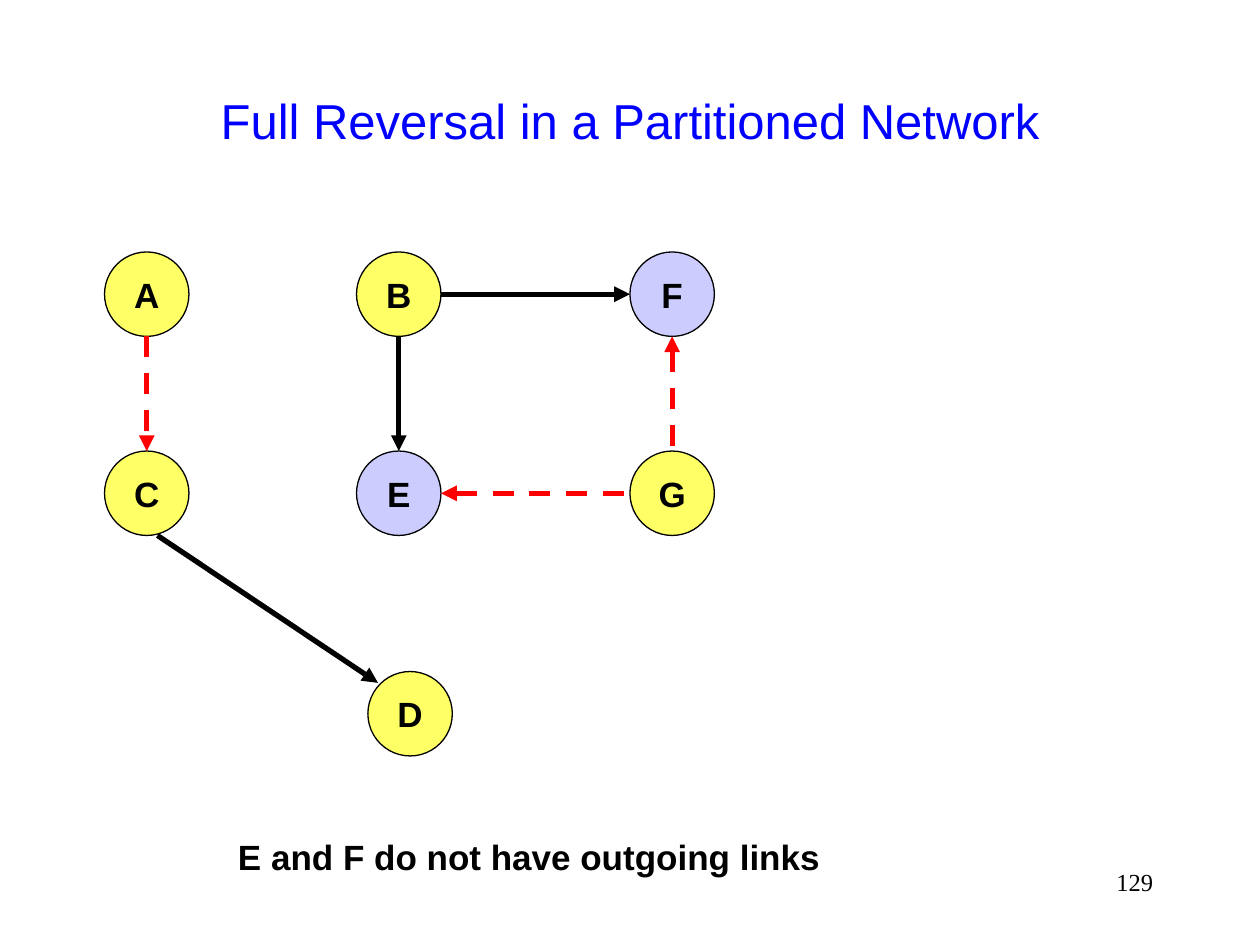
import lxml.etree
import pptx
import pptx.dml.color
import pptx.enum.dml
import pptx.enum.shapes
import pptx.enum.text
import pptx.oxml.ns
import pptx.util

COLORS = {
    "title": "0000FF",
    "text": "000000",
    "node": "FFFF66",
    "sink": "CCCCFF",
    "link": "000000",
    "reversed": "FF0000",
}
COLS = [0.83, 2.83, 5]
ROWS = [2, 3.58, 5.33]
SIZE = 0.67
D_SHIFT = 0.09

# Node: column, row, fill
NODES = {
    "A": (0, 0, "node"),
    "F": (2, 0, "sink"),
    "B": (1, 0, "node"),
    "C": (0, 1, "node"),
    "E": (1, 1, "sink"),
    "G": (2, 1, "node"),
}
# Link: upper or left node, lower or right node, color, arrowhead end
LINKS = [
    ("A", "C", "reversed", "tailEnd"),
    ("B", "E", "link", "tailEnd"),
    ("F", "G", "reversed", "headEnd"),
    ("B", "F", "link", "tailEnd"),
    ("E", "G", "reversed", "headEnd"),
]

Inches = pptx.util.Inches
ALIGN = pptx.enum.text.PP_ALIGN
ANCHOR = pptx.enum.text.MSO_ANCHOR


def rgb(name):
    return pptx.dml.color.RGBColor.from_string(COLORS[name])


def write(sp, text, size, color="text", font="Arial", bold=False,
          align=ALIGN.CENTER, anchor=ANCHOR.MIDDLE, wrap=False):
    tf = sp.text_frame
    tf.word_wrap = wrap
    tf.vertical_anchor = anchor
    p = tf.paragraphs[0]
    p.alignment = align
    r = p.add_run()
    r.text = text
    r.font.size = pptx.util.Pt(size)
    r.font.name = font
    r.font.bold = bold
    r.font.color.rgb = rgb(color)


def add_text(s, box, text, size, **style):
    write(s.shapes.add_textbox(*map(Inches, box)), text, size, **style)


def add_node(s, name, left, top, fill):
    sp = s.shapes.add_shape(pptx.enum.shapes.MSO_SHAPE.OVAL,
                            *map(Inches, (left, top, SIZE, SIZE)))
    sp.shadow.inherit = False
    sp.fill.solid()
    sp.fill.fore_color.rgb = rgb(fill)
    sp.line.color.rgb = rgb("link")
    sp.line.width = pptx.util.Pt(0.75)
    write(sp, name, 20, bold=True)


def add_arrow(s, start, end, color, arrow_end):
    cx = s.shapes.add_connector(pptx.enum.shapes.MSO_CONNECTOR.STRAIGHT,
                                *map(Inches, start + end))
    cx.line.color.rgb = rgb(color)
    cx.line.width = pptx.util.Pt(3)
    if color == "reversed":
        cx.line.dash_style = pptx.enum.dml.MSO_LINE.DASH
    qn = pptx.oxml.ns.qn
    lxml.etree.SubElement(cx.line._get_or_add_ln(), qn("a:" + arrow_end),
                          type="triangle")
    lxml.etree.SubElement(cx._element.spPr, qn("a:effectLst"))


def link_points(first, second):
    """Facing edge points of two nodes that share a row or a column."""
    (c1, r1, _), (c2, r2, _) = NODES[first], NODES[second]
    if c1 == c2:
        x = COLS[c1] + SIZE / 2
        return (x, ROWS[r1] + SIZE), (x, ROWS[r2])
    y = ROWS[r1] + SIZE / 2
    return (COLS[c1] + SIZE, y), (COLS[c2], y)


def main():
    prs = pptx.Presentation()
    prs.slide_width, prs.slide_height = Inches(10), Inches(7.5)
    s = prs.slides.add_slide(prs.slide_layouts[6])

    add_text(s, (0.75, 0.33, 8.5, 1.25),
             "Full Reversal in a Partitioned Network", 28,
             color="title", wrap=True)
    for name, (col, row, fill) in NODES.items():
        add_node(s, name, COLS[col], ROWS[row], fill)
    add_node(s, "D", COLS[1] + D_SHIFT, ROWS[2], "node")

    for first, second, color, arrow_end in LINKS:
        add_arrow(s, *link_points(first, second), color, arrow_end)
    add_arrow(s, (1.25, 4.25), (3, 5.42), "link", "tailEnd")

    add_text(s, (1.79, 6.58, 4.82, 0.44),
             "E and F do not have outgoing links", 20, bold=True)
    add_text(s, (7.17, 6.83, 2.08, 0.5), "129", 14, font="Times New Roman",
             align=ALIGN.RIGHT, anchor=ANCHOR.TOP, wrap=True)
    prs.save("out.pptx")


if __name__ == "__main__":
    main()
